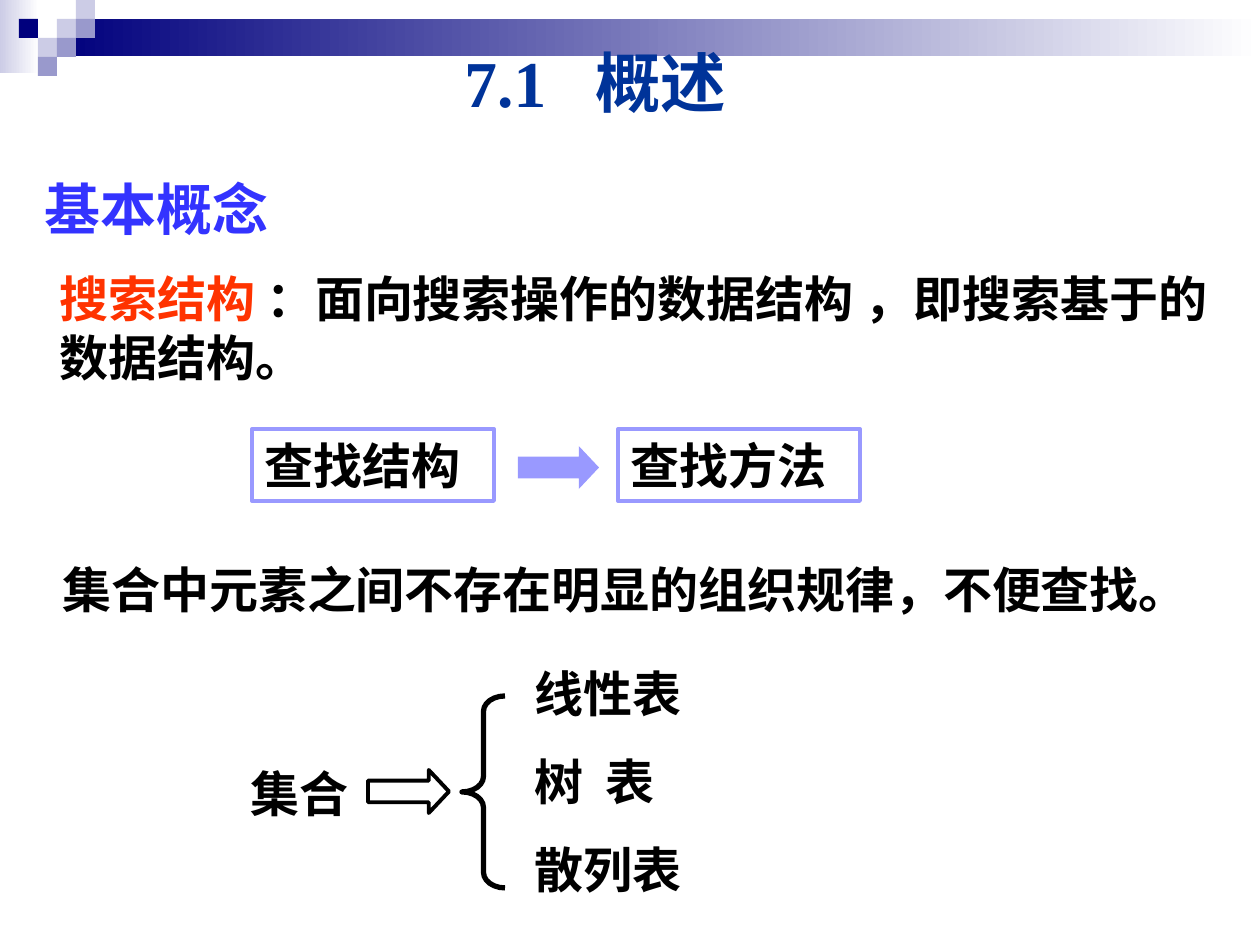
import pptx
import pptx.dml.color
import pptx.enum.shapes
import pptx.enum.text
import pptx.oxml
import pptx.oxml.ns
import pptx.util
from lxml import etree

RGB = pptx.dml.color.RGBColor
SHAPE = pptx.enum.shapes.MSO_SHAPE
ALIGN = pptx.enum.text.PP_ALIGN
ANCHOR = pptx.enum.text.MSO_ANCHOR

NAVY = RGB(0x00, 0x00, 0x7D)
LAVENDER = RGB(0xCC, 0xCC, 0xE6)
MID_BLUE = RGB(0x99, 0x99, 0xCC)
PERIWINKLE = RGB(0x99, 0x99, 0xFF)
TITLE_BLUE = RGB(0x00, 0x33, 0x99)
HEADING_BLUE = RGB(0x33, 0x33, 0xFF)
RED = RGB(0xFF, 0x33, 0x00)
BLACK = RGB(0, 0, 0)
WHITE = RGB(0xFF, 0xFF, 0xFF)

CJK = "Noto Sans CJK SC"
SERIF = "Times New Roman"
PX_PER_INCH = 126
TILE = 19


def px(*lengths):
    return [round(n * 914400 / PX_PER_INCH) for n in lengths]


def add_shape(s, kind, box, fill=None, gradient=None, line=None, width=2.25, adj=()):
    sp = s.shapes.add_shape(kind, *px(*box))
    sp.shadow.inherit = False
    for i, value in enumerate(adj):
        sp.adjustments[i] = value
    if gradient:
        sp.fill.gradient()
        sp.fill.gradient_angle = 0
        for stop, color in zip(sp.fill.gradient_stops, gradient):
            stop.color.rgb = color
    elif fill is not None:
        sp.fill.solid()
        sp.fill.fore_color.rgb = fill
    else:
        sp.fill.background()
    if line is not None:
        sp.line.color.rgb = line
        sp.line.width = pptx.util.Pt(width)
    else:
        sp.line.fill.background()
    return sp


def add_text_shadow(r):
    r.font._element.find(pptx.oxml.ns.qn("a:solidFill")).addnext(pptx.oxml.parse_xml(
        f'<a:effectLst {pptx.oxml.ns.nsdecls("a")}>'
        '<a:outerShdw dist="35921" dir="2700000"><a:srgbClr val="000000"/>'
        '</a:outerShdw></a:effectLst>'))


def write(sp, *runs, size=28, font=CJK, color=BLACK, align=ALIGN.LEFT,
          anchor=ANCHOR.TOP, spacing=None, shadow=False):
    """Fill a shape with bold text; a run is text or (text, font, color)."""
    tf = sp.text_frame
    tf.word_wrap = True
    tf.vertical_anchor = anchor
    p = tf.paragraphs[0]
    p.alignment = align
    p.line_spacing = spacing
    for run in runs:
        text, face, tint = (run, font, color) if isinstance(run, str) else run
        r = p.add_run()
        r.text = text
        r.font.size = pptx.util.Pt(size)
        r.font.bold = True
        r.font.name = face
        r.font.color.rgb = tint
        if shadow:
            add_text_shadow(r)
        ea = etree.SubElement(r.font._element, pptx.oxml.ns.qn("a:ea"))
        ea.set("typeface", CJK)


def add_text(s, box, *runs, **style):
    write(s.shapes.add_textbox(*px(*box)), *runs, **style)


def add_header(s):
    add_shape(s, SHAPE.RECTANGLE, (0, 0, 39, 73), gradient=(LAVENDER, WHITE))
    add_shape(s, SHAPE.RECTANGLE, (57, 19, 1203, 37), gradient=(NAVY, WHITE))
    tiles = [(3, 1, LAVENDER), (4, 0, LAVENDER), (4, 1, MID_BLUE), (2, 2, LAVENDER),
             (1, 1, NAVY), (3, 2, MID_BLUE), (2, 3, MID_BLUE)]
    for col, row, color in tiles:
        add_shape(s, SHAPE.RECTANGLE, (col * TILE, row * TILE, TILE, TILE), fill=color)


def add_arrow(s, left, top, **style):
    add_shape(s, SHAPE.RIGHT_ARROW, (left, top, 81, 43), adj=(0.5, 0.47), **style)


def add_structure_to_method(s):
    for left, text in ((252, "查找结构"), (618, "查找方法")):
        write(add_shape(s, SHAPE.RECTANGLE, (left, 429, 242, 72), line=PERIWINKLE), text)
    add_arrow(s, 518, 446, fill=PERIWINKLE)


def add_set_tree(s):
    add_text(s, (238, 757, 130, 72), "集合")
    add_arrow(s, 368, 770, line=BLACK)
    add_shape(s, SHAPE.LEFT_BRACE, (462, 696, 43, 192), line=BLACK, width=3,
              adj=(0.36, 0.5))
    for i, text in enumerate(("线性表", "树  表", "散列表")):
        add_text(s, (522, 657 + 88 * i, 180, 72), text)


def main():
    prs = pptx.Presentation()
    prs.slide_width, prs.slide_height = px(1260, 945)
    s = prs.slides.add_slide(prs.slide_layouts[6])
    add_header(s)
    add_text(s, (233, 39, 725, 94), "7.1   概述", size=37.4, font=SERIF,
             color=TITLE_BLUE, align=ALIGN.CENTER, anchor=ANCHOR.MIDDLE, spacing=0.9)
    add_text(s, (32, 168, 892, 81), "基本概念", size=32, font=SERIF,
             color=HEADING_BLUE, shadow=True)
    add_text(s, (47, 262, 1213, 131), ("搜索结构", CJK, RED), (" ：", SERIF, BLACK),
             "面向搜索操作的数据结构", (" ，即搜索基于的数据结构。", SERIF, BLACK))
    add_structure_to_method(s)
    add_text(s, (50, 553, 1178, 72), "集合中元素之间不存在明显的组织规律，不便查找。")
    add_set_tree(s)
    prs.save("out.pptx")


if __name__ == "__main__":
    main()
